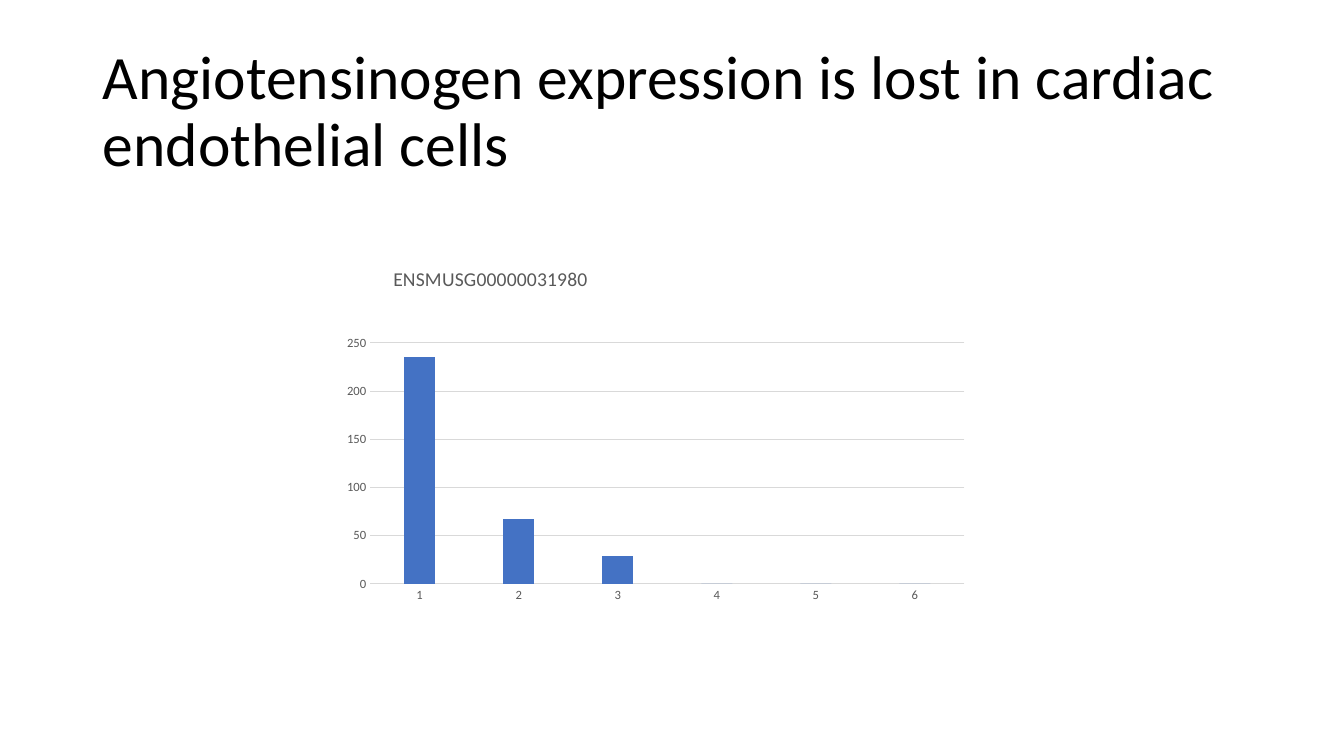
from lxml import etree
from pptx import Presentation
from pptx.chart import data
from pptx.dml import color
from pptx.enum import chart as kinds, text
from pptx.oxml import ns
from pptx.util import Emu, Pt

# Content
HEAD = "Angiotensinogen expression is lost in cardiac endothelial cells"
GENE = "ENSMUSG00000031980"
LEVELS = {"1": 235, "2": 67, "3": 29, "4": 0, "5": 0, "6": 0}

# Theme and places, in pixels
THEME = dict(font="Calibri", ink="000000", soft="595959", rule="D9D9D9",
             bar="4472C4", head=44, gene=14, tick=9)
SCALE = 914400 / 100.8
PAGE = (1344, 756)
HEAD_BOX = (93, 40, 1159, 146)
CHART_BOX = (315, 237, 673, 388)
PLOT_BOX = (370, 343, 594, 241)
GENE_AT = (390, 262)


def emu(box):
    return [Emu(round(n * SCALE)) for n in box]


def rgb(name):
    return color.RGBColor.from_string(THEME[name])


def style(font, size, ink):
    font.name, font.size, font.bold = THEME["font"], Pt(THEME[size]), False
    font.color.rgb = rgb(ink)


def write(frame, words, size, ink, space=None):
    para = frame.paragraphs[0]
    if space:
        para.line_spacing = space
    run = para.add_run()
    run.text = words
    style(run.font, size, ink)


def rule(line):
    line.color.rgb = rgb("rule")
    line.width = Pt(0.75)


def place(part, index, box, inner=False):
    """Pin a chart part at a pixel box, as fractions of the chart."""
    layout = part.find(ns.qn("c:layout"))
    if layout is None:
        layout = etree.Element(ns.qn("c:layout"))
        part.insert(index, layout)
    left, top, wide, high = CHART_BOX
    pairs = [("layoutTarget", "inner")] if inner else []
    pairs += [("xMode", "edge"), ("yMode", "edge")]
    shares = [(box[0] - left) / wide, (box[1] - top) / high]
    shares += [n / side for n, side in zip(box[2:], (wide, high))]
    pairs += [(key, f"{n:.3f}") for key, n in zip("xywh", shares)]
    manual = etree.SubElement(layout, ns.qn("c:manualLayout"))
    for key, val in pairs:
        etree.SubElement(manual, ns.qn("c:" + key)).set("val", val)


# Slide
deck = Presentation()
deck.slide_width, deck.slide_height = emu(PAGE)
slide = deck.slides.add_slide(deck.slide_layouts[6])

# Heading
frame = slide.shapes.add_textbox(*emu(HEAD_BOX)).text_frame
frame.word_wrap = True
frame.vertical_anchor = text.MSO_ANCHOR.MIDDLE
write(frame, HEAD, "head", "ink", space=0.9)

# Chart
table = data.CategoryChartData()
table.categories = list(LEVELS)
table.add_series(GENE, list(LEVELS.values()))
chart = slide.shapes.add_chart(
    kinds.XL_CHART_TYPE.COLUMN_CLUSTERED, *emu(CHART_BOX), table).chart
chart.has_legend = False
style(chart.font, "tick", "soft")
write(chart.chart_title.text_frame, GENE, "gene", "soft")

# Bars
plot = chart.plots[0]
plot.vary_by_categories = False
plot.gap_width, plot.overlap = 219, -27
fill = plot.series[0].format.fill
fill.solid()
fill.fore_color.rgb = rgb("bar")

# Axes
cats, vals = chart.category_axis, chart.value_axis
for axis in (cats, vals):
    axis.major_tick_mark = axis.minor_tick_mark = kinds.XL_TICK_MARK.NONE
    style(axis.tick_labels.font, "tick", "soft")
rule(cats.format.line)
vals.format.line.fill.background()
rule(vals.major_gridlines.format.line)
vals.minimum_scale, vals.maximum_scale, vals.major_unit = 0, 250, 50

# Fixed places of title (after its text) and plot area
place(chart.chart_title._element, 1, GENE_AT)
place(cats._element.getparent(), 0, PLOT_BOX, inner=True)

deck.save("out.pptx")
